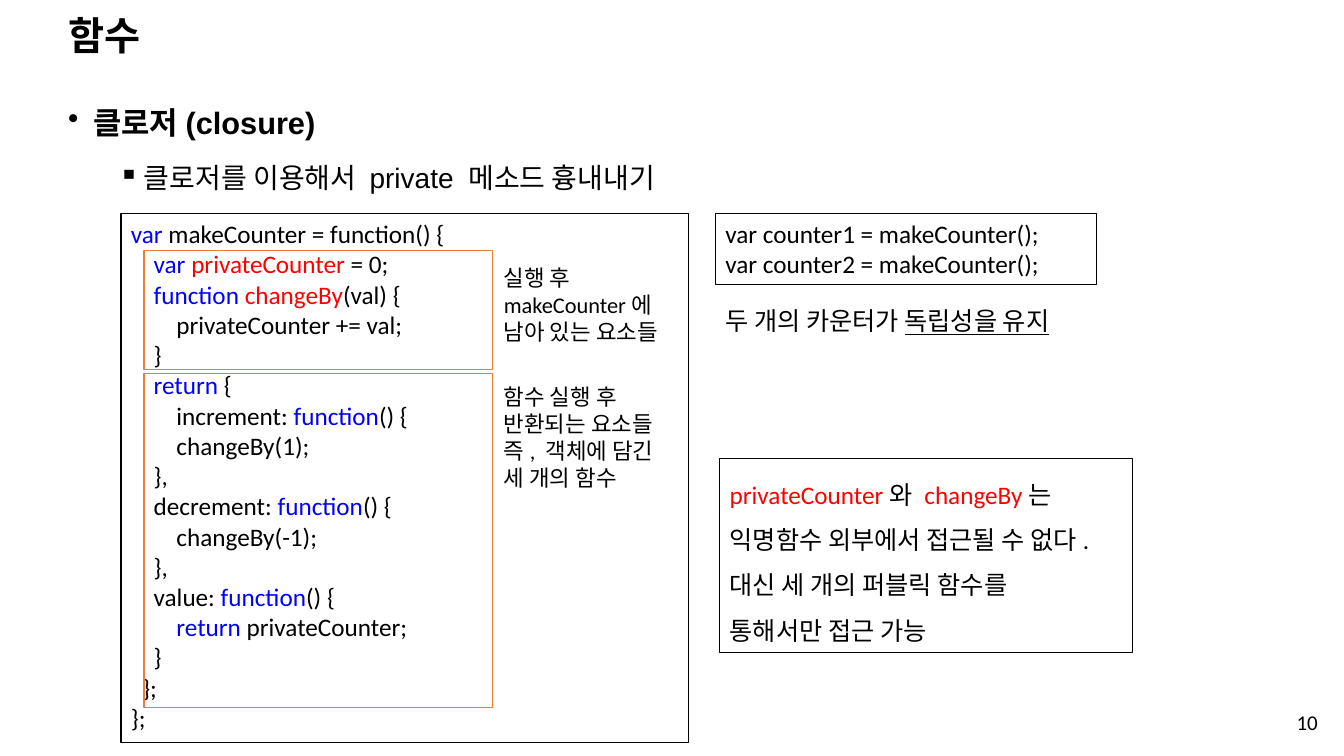
"""Build the slide on closures that imitate private methods."""
from pptx import Presentation
from pptx import util as u
from pptx.dml.color import RGBColor
from pptx.enum import shapes, text
from pptx.oxml.ns import qn

BLACK = RGBColor(0, 0, 0)
BLUE = RGBColor(0, 0, 255)
RED = RGBColor(255, 0, 0)
ORANGE = RGBColor(0xED, 0x7D, 0x31)
STEP = 0.287

FUNC = ("function", BLUE)
CODE = [
    (0, [("var ", BLUE), "makeCounter = function() {"]),
    (2, [("var ", BLUE), ("privateCounter", RED), " = 0;"]),
    (2, [("function ", BLUE), ("changeBy", RED), "(val) {"]),
    (4, ["privateCounter += val;"]),
    (2, ["}"]),
    (2, [("return ", BLUE), "{"]),
    (4, ["increment: ", FUNC, "() {"]),
    (4, ["changeBy(1);"]),
    (2, ["},"]),
    (2, ["decrement: ", FUNC, "() {"]),
    (4, ["changeBy(-1);"]),
    (2, ["},"]),
    (2, ["value: ", FUNC, "() {"]),
    (4, [("return ", BLUE), "privateCounter;"]),
    (2, ["}"]),
    (1, ["};"]),
    (0, ["};"]),
]


class Deck:
    """Hold the style and the current slide."""

    def __init__(self):
        self.prs = Presentation()
        self.prs.slide_width = u.Cm(33.87)
        self.prs.slide_height = u.Cm(19.05)
        self.slide = self.prs.slides.add_slide(self.prs.slide_layouts[6])

    def frame(self, box, color=BLACK, width=0.75):
        """Draw an unfilled rectangle."""
        rect = self.slide.shapes.add_shape(
            shapes.MSO_SHAPE.RECTANGLE, *map(u.Cm, box))
        rect.shadow.inherit = False
        rect.fill.background()
        rect.line.color.rgb = color
        rect.line.width = u.Pt(width)
        rect.text_frame.vertical_anchor = text.MSO_ANCHOR.TOP
        return rect.text_frame

    def area(self, box, wrap=True, middle=False):
        """Add a text box."""
        body = self.slide.shapes.add_textbox(*map(u.Cm, box)).text_frame
        body.word_wrap = wrap
        if middle:
            body.vertical_anchor = text.MSO_ANCHOR.MIDDLE
        return body

    def para(self, body, runs, size=18, face="Calibri", bold=False,
             space=1, align=text.PP_ALIGN.LEFT):
        """Append a paragraph made of plain or coloured runs."""
        line = body.paragraphs[0]
        if line.runs:
            line = body.add_paragraph()
        line.alignment = align
        line.line_spacing = space
        font = line.font
        font.size, font.name, font.bold = u.Pt(size), face, bold
        font.color.rgb = BLACK
        for part in runs:
            words, color = (part, BLACK) if isinstance(part, str) else part
            run = line.add_run()
            run.text = words
            run.font.color.rgb = color
        return line

    def lines(self, body, rows, **style):
        """Append one plain paragraph for each row."""
        for row in rows:
            self.para(body, [row], **style)

    def indent(self, line, left, hang=0):
        """Set the left margin and the hanging indent."""
        props = line._p.get_or_add_pPr()
        props.set("marL", str(u.Cm(left)))
        props.set("indent", str(-u.Cm(hang)))
        return props

    def bullet(self, body, words, sign, left, before, **style):
        """Append a bulleted paragraph."""
        line = self.para(body, [words], face="Arial", space=1.4, **style)
        line.space_before = u.Pt(before)
        props = self.indent(line, left, 0.635)
        mark = props.makeelement(qn("a:buChar"), {"char": sign})
        props.find(qn("a:defRPr")).addprevious(mark)


def main():
    """Compose and save the slide."""
    deck = Deck()
    title = deck.area((1.47, 0.46, 29.21, 0.97), middle=True)
    deck.para(title, ["함수"], size=28, face="Arial", bold=True, space=0.9)

    topic = deck.area((1.47, 2.11, 30.84, 15.95))
    deck.bullet(topic, "클로저(closure)", "•", 0.635, 10, size=22, bold=True)
    deck.bullet(topic, "클로저를 이용해서 private 메소드 흉내내기", "▪",
                1.905, 5, size=20)

    page = deck.area((23.93, 17.65, 9.53, 1.07), middle=True)
    deck.para(page, ["10"], size=15, align=text.PP_ALIGN.RIGHT)

    code = deck.frame((3.05, 5.38, 14.3, 13.34))
    for depth, runs in CODE:
        deck.indent(deck.para(code, runs), depth * STEP)
    for top, high in ((6.32, 3), (9.42, 8.41)):
        deck.frame((3.63, top, 8.79, high), ORANGE, 1)

    kept = deck.area((12.45, 6.53, 4.9, 2.31), wrap=False)
    deck.lines(kept, ["실행 후", "makeCounter에", "남아 있는 요소들"], size=16)
    given = deck.area((12.45, 9.53, 4.7, 3), wrap=False)
    deck.lines(given, ["함수 실행 후", "반환되는 요소들", "즉, 객체에 담긴",
                       "세 개의 함수"], size=16)

    calls = deck.frame((18.03, 5.38, 9.6, 1.8))
    deck.lines(calls, [f"var counter{n} = makeCounter();" for n in (1, 2)])
    apart = deck.area((18.03, 7.57, 9.75, 1.02), wrap=False)
    claim = deck.para(apart, ["두 개의 카운터가 ", "독립성을 유지"])
    claim.runs[1].font.underline = True

    access = deck.frame((18.14, 11.56, 10.39, 4.88))
    deck.para(access, [("privateCounter", RED), "와 ", ("changeBy", RED), "는"],
              space=1.5)
    deck.lines(access, ["익명함수 외부에서 접근될 수 없다.",
                        "대신 세 개의 퍼블릭 함수를", "통해서만 접근 가능"],
               space=1.5)
    deck.prs.save("out.pptx")


if __name__ == "__main__":
    main()
